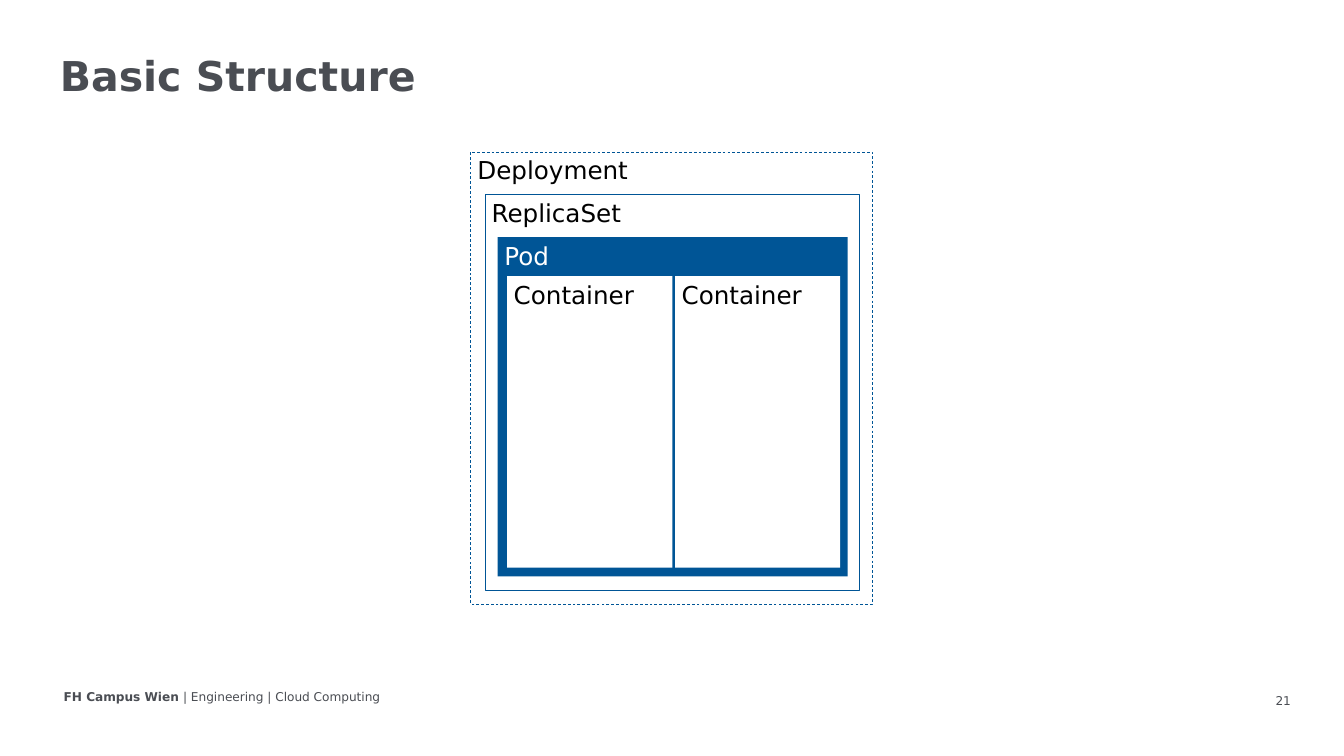
from dataclasses import dataclass
from pptx import Presentation
from pptx import util as u
from pptx.dml.color import RGBColor
from pptx.enum import dml, shapes, text

WIDE, HIGH = 20.01, 11.25


@dataclass(frozen=True)
class Theme:
    """Colours, type sizes and font of the slide."""
    gray: str = "4A4D53"
    blue: str = "005596"
    black: str = "000000"
    white: str = "FFFFFF"
    font: str = "DejaVu Sans"
    head: float = 44
    body: float = 26.4
    foot: float = 13


LOOK = Theme()


def place(box):
    """Turn a box in percent of the slide into lengths."""
    x, y, w, h = box
    return [u.Inches(n / 100) for n in (x * WIDE, y * HIGH, w * WIDE, h * HIGH)]


def inset(box, left, top, right, low):
    """Shrink a box by four margins in percent of the slide."""
    x, y, w, h = box
    return x + left, y + top, w - left - right, h - top - low


def style(para, size, color, bold=None):
    """Set the font of a paragraph."""
    font = para.font
    font.name, font.size, font.bold = LOOK.font, u.Pt(size), bold
    font.color.rgb = RGBColor.from_string(color)


def title(slide, box, words):
    """Fill and move the title placeholder."""
    shape = slide.shapes.title
    shape.left, shape.top, shape.width, shape.height = place(box)
    frame = shape.text_frame
    frame.text = words
    frame.vertical_anchor = text.MSO_ANCHOR.TOP
    frame.auto_size = text.MSO_AUTO_SIZE.NONE
    para = frame.paragraphs[0]
    para.alignment, para.line_spacing = text.PP_ALIGN.LEFT, 0.9
    style(para, LOOK.head, LOOK.gray, True)


def footer(slide, box, school, topic, page):
    """Write the school line at the left and the page number at the right."""
    x, y, w, h = box
    frame = slide.shapes.add_textbox(*place((x, y, 0.36 * w, 0.76 * h))).text_frame
    frame.word_wrap = True
    para = frame.paragraphs[0]
    style(para, LOOK.foot, LOOK.gray)
    para.add_run().text = school
    para.runs[0].font.bold = True
    para.add_run().text = topic

    wide = 0.24 * w
    frame = slide.shapes.add_textbox(*place((x + w - wide, y, wide, h))).text_frame
    frame.word_wrap = True
    frame.vertical_anchor = text.MSO_ANCHOR.MIDDLE
    frame.margin_left = frame.margin_right = u.Inches(0.2)
    frame.margin_top = frame.margin_bottom = u.Inches(0.1)
    para = frame.paragraphs[0]
    para.text, para.alignment = page, text.PP_ALIGN.RIGHT
    style(para, LOOK.foot, LOOK.gray)


def block(slide, box, label, fill=None, dash=None):
    """Draw a labelled box, filled or outlined."""
    shape = slide.shapes.add_shape(shapes.MSO_SHAPE.RECTANGLE, *place(box))
    shape.shadow.inherit = False
    if fill:
        shape.fill.solid()
        shape.fill.fore_color.rgb = RGBColor.from_string(fill)
        shape.line.fill.background()
    else:
        shape.fill.background()
        shape.line.color.rgb = RGBColor.from_string(LOOK.blue)
        shape.line.width = u.Pt(0.75)
        shape.line.dash_style = dash
    frame = shape.text_frame
    frame.vertical_anchor = text.MSO_ANCHOR.TOP
    para = frame.paragraphs[0]
    para.text, para.alignment = label, text.PP_ALIGN.LEFT
    style(para, LOOK.body, LOOK.white if fill == LOOK.blue else LOOK.black)


def nest(slide, box):
    """Draw the deployment with its replica set, pod and containers."""
    block(slide, box, "Deployment", dash=dml.MSO_LINE.DASH)
    box = inset(box, 1.05, 5.6, 0.95, 1.78)
    block(slide, box, "ReplicaSet")
    box = inset(box, 0.95, 5.69, 0.9, 1.87)
    block(slide, box, "Pod", LOOK.blue)
    x, y, w, h = inset(box, 0.7, 5.16, 0.55, 1.16)
    gap, count = 0.2, 2
    wide = (w - gap * (count - 1)) / count
    for i in range(count):
        block(slide, (x + i * (wide + gap), y, wide, h), "Container", LOOK.white)


def main():
    """Build and save the slide."""
    deck = Presentation()
    deck.slide_width, deck.slide_height = u.Inches(WIDE), u.Inches(HIGH)
    slide = deck.slides.add_slide(deck.slide_layouts[5])
    footer(slide, (4.25, 90.76, 92.8, 3.73), "FH Campus Wien ",
           "| Engineering | Cloud Computing", "21")
    title(slide, (3.95, 6.93, 93.1, 6.84), "Basic Structure")
    nest(slide, (35.03, 20.09, 29.89, 59.82))
    deck.save("out.pptx")


if __name__ == "__main__":
    main()
